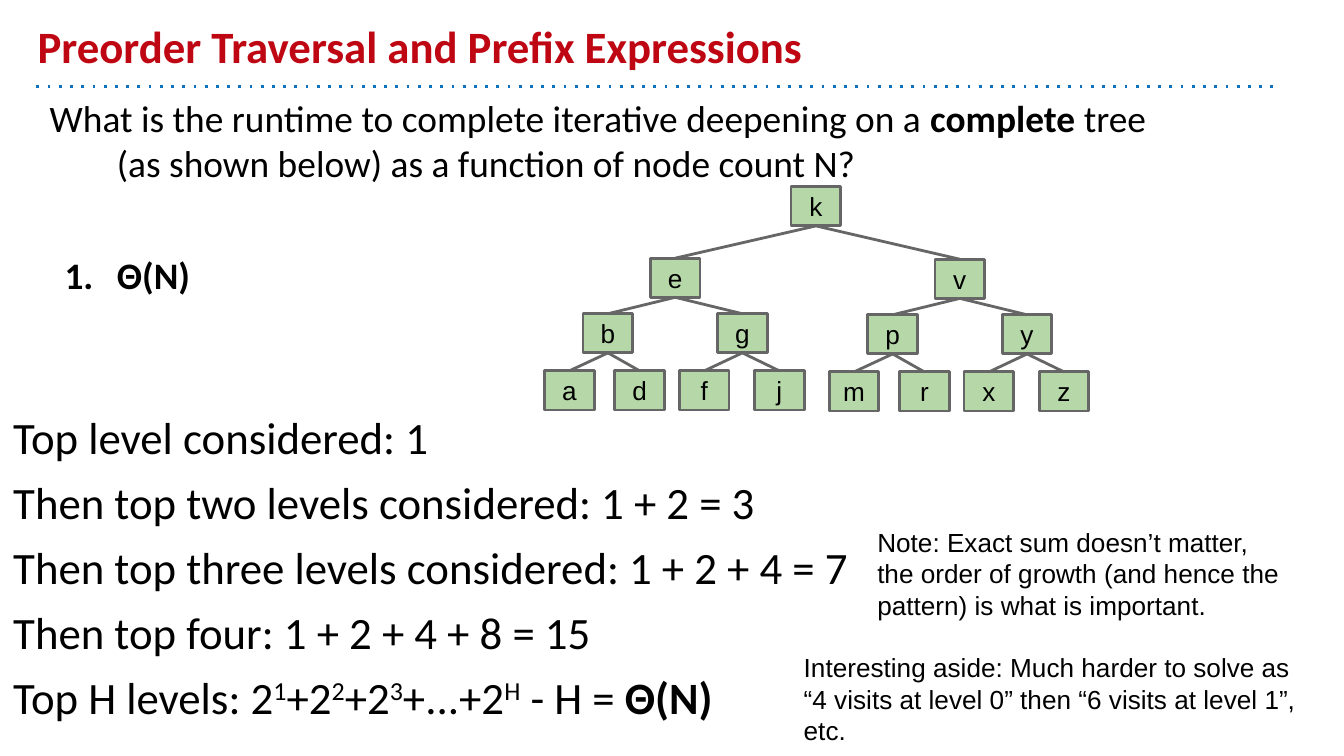
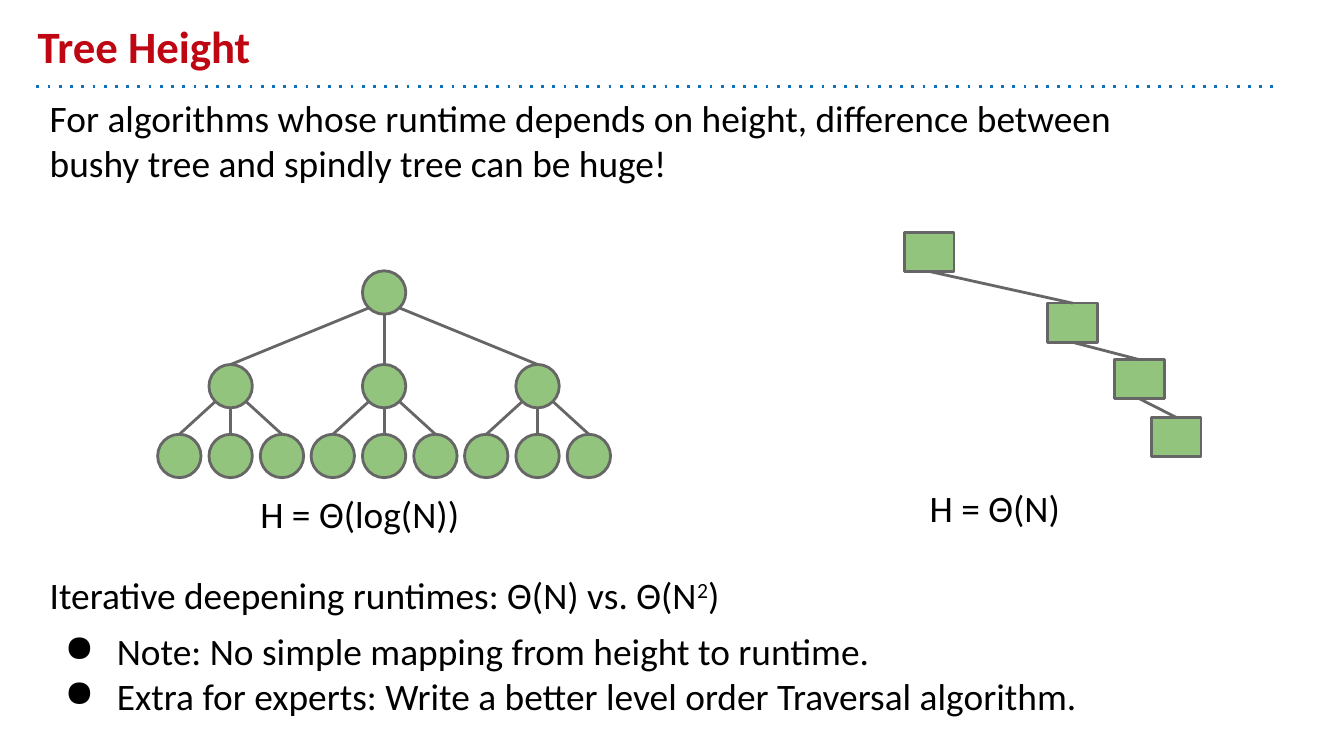
from lxml import etree
from pptx import Presentation
from pptx import util as u
from pptx.dml.color import RGBColor
from pptx.enum import dml, shapes, text
from pptx.oxml.ns import qn

COLORS = {
    "title": "BE0712",
    "rule": "1072BD",
    "text": "000000",
    "edge": "666666",
    "search_node": "B6D7A8",
    "plain_node": "93C47D",
}
BODY_FONT, NOTE_FONT = "Calibri", "Arial"
BOX_W, BOX_H = 0.94, 0.74
CIRCLE = 0.82


def rgb(name):
    return RGBColor.from_string(COLORS[name])


def style_font(font, size, name, color="text", bold=False):
    font.size, font.name, font.bold = u.Pt(size), name, bold
    font.color.rgb = rgb(color)


def add_bullet(p, bullet):
    """Give p a hanging indent and a bullet; "1." counts automatically."""
    pPr = p._p.get_or_add_pPr()
    pPr.set("marL", str(u.Cm(1.27)))
    pPr.set("indent", str(-u.Cm(0.99)))
    color = etree.SubElement(pPr, qn("a:buClr"))
    etree.SubElement(color, qn("a:srgbClr"), val=COLORS["text"])
    if bullet == "1.":
        etree.SubElement(pPr, qn("a:buAutoNum"), type="arabicPeriod")
    else:
        etree.SubElement(pPr, qn("a:buChar"), char=bullet)


def fill_paragraph(p, content, size, font, color="text"):
    """Write content: a string, or a list of strings and (string, "bold" | "sup") pairs.

    A "\\v" item in the list breaks the line.
    """
    for piece in [content] if isinstance(content, str) else content:
        if piece == "\v":
            p.add_line_break()
            continue
        words, look = (piece, "") if isinstance(piece, str) else piece
        r = p.add_run()
        r.text = words
        style_font(r.font, size, font, color, look == "bold")
        if look == "sup":
            r.font._element.set("baseline", "30000")


def add_text(s, box, paragraphs, size=20, font=BODY_FONT, color="text",
             anchor=text.MSO_ANCHOR.TOP):
    """Add a text box; each paragraph is (content, space before, bullet)."""
    tf = s.shapes.add_textbox(*map(u.Cm, box)).text_frame
    tf.word_wrap = True
    tf.vertical_anchor = anchor
    tf.margin_left = tf.margin_right = tf.margin_top = tf.margin_bottom = u.Cm(0.25)
    for i, (content, before, bullet) in enumerate(paragraphs):
        p = tf.add_paragraph() if i else tf.paragraphs[0]
        p.space_before = u.Pt(before)
        if bullet:
            add_bullet(p, bullet)
        fill_paragraph(p, content, size, font, color)
    return tf


def add_line(s, start, end, color="edge"):
    line = s.shapes.add_connector(shapes.MSO_CONNECTOR.STRAIGHT,
                                  *map(u.Cm, (*start, *end)))
    line.line.color.rgb = rgb(color)
    line.line.width = u.Pt(1.5)
    etree.SubElement(line._element.spPr, qn("a:effectLst"))
    return line


def add_node(s, kind, cx, top, w, h, color, label=""):
    sp = s.shapes.add_shape(kind, u.Cm(cx - w / 2), u.Cm(top), u.Cm(w), u.Cm(h))
    sp.shadow.inherit = False
    sp.fill.solid()
    sp.fill.fore_color.rgb = rgb(color)
    sp.line.color.rgb = rgb("edge")
    sp.line.width = u.Pt(1.5)
    if label:
        tf = sp.text_frame
        tf.text = label
        tf.vertical_anchor = text.MSO_ANCHOR.MIDDLE
        p = tf.paragraphs[0]
        p.alignment = text.PP_ALIGN.CENTER
        style_font(p.runs[0].font, 14, NOTE_FONT)
    return sp


def add_box(s, cx, top, color, label=""):
    return add_node(s, shapes.MSO_SHAPE.RECTANGLE, cx, top, BOX_W, BOX_H, color, label)


def join_boxes(s, parent, child):
    line = add_line(s, (0, 0), (1, 1))
    line.begin_connect(parent, 2)
    line.end_connect(child, 0)


def add_subtree(s, letters, cx, top):
    """Draw a seven-node binary tree, letters in level order; return its root."""
    offsets = (0, -1.27, 1.27, -2, -0.67, 0.55, 1.97)
    drops = (0, 1.05, 1.05, 2.13, 2.13, 2.13, 2.13)
    nodes = [add_box(s, cx + dx, top + dy, "search_node", letter)
             for letter, dx, dy in zip(letters, offsets, drops)]
    for i, node in enumerate(nodes[1:]):
        join_boxes(s, nodes[i // 2], node)
    return nodes[0]


def add_search_tree(s):
    subtrees = [add_subtree(s, "ebgadfj", 12.76, 4.88),
                add_subtree(s, "vpymrxz", 18.14, 4.9)]
    root = add_box(s, 15.42, 3.53, "search_node", "k")
    for subtree in subtrees:
        join_boxes(s, root, subtree)


def add_bushy_tree(s, cx, levels, gaps):
    """Draw a three-way tree of circles below cx; return its root."""
    top = levels[0]
    root = add_node(s, shapes.MSO_SHAPE.OVAL, cx, top, CIRCLE, CIRCLE, "plain_node")
    if gaps:
        radius = CIRCLE / 2
        for side in (-1, 0, 1):
            child = add_bushy_tree(s, cx + side * gaps[0], levels[1:], gaps[1:])
            reach = 0.71 * radius
            start_y = top + radius + (reach if side else radius)
            line = add_line(s, (cx + side * reach, start_y), (cx, levels[1]))
            line.end_connect(child, 0)
    return root


def add_spindly_tree(s):
    places = ((17.56, 4.39), (20.27, 5.73), (21.54, 6.8), (22.23, 7.89))
    boxes = [add_box(s, cx, top, "plain_node") for cx, top in places]
    for parent, child in zip(boxes, boxes[1:]):
        join_boxes(s, parent, child)


def add_titled_slide(prs, title):
    s = prs.slides.add_slide(prs.slide_layouts[6])
    rule = add_line(s, (0.69, 1.63), (24.13, 1.63), "rule")
    rule.line.dash_style = dml.MSO_LINE.ROUND_DOT
    for dash in rule._element.iter(qn("a:prstDash")):
        dash.set("val", "dot")
    add_text(s, (0.46, 0.25, 22.86, 1.37), [([(title, "bold")], 0, "")], 24,
             color="title", anchor=text.MSO_ANCHOR.BOTTOM)
    return s


def build_runtime_slide(prs):
    s = add_titled_slide(prs, "Preorder Traversal and Prefix Expressions")
    tf = add_text(s, (0.69, 1.55, 23.44, 11.53), [
        (["What is the runtime to complete iterative deepening on a ",
          ("complete", "bold"), " tree", "\v",
          "(as shown below) as a function of node count N?"], 0, ""),
        ([("Θ(N)", "bold")], 36, "1."),
    ])
    question = tf.paragraphs[0]._p.get_or_add_pPr()
    question.set("marL", str(u.Cm(1.27)))
    question.set("indent", str(-u.Cm(1.27)))
    add_search_tree(s)

    steps = [
        "Top level considered: 1",
        "Then top two levels considered: 1 + 2 = 3",
        "Then top three levels considered: 1 + 2 + 4 = 7",
        "Then top four: 1 + 2 + 4 + 8 = 15",
        ["Top H levels: 2", ("1", "sup"), "+2", ("2", "sup"), "+2", ("3", "sup"),
         "+...+2", ("H", "sup"), " - H = ", ("Θ(N)", "bold")],
    ]
    add_text(s, (0, 7.49, 25.4, 6.71),
             [(step, 6 if i else 0, "") for i, step in enumerate(steps)], 24)
    for box, remark in (
        ((16.33, 9.7, 8.23, 3.38),
         "Note: Exact sum doesn’t matter, the order of growth (and hence the pattern) "
         "is what is important."),
        ((14.94, 12.07, 10.26, 1.93),
         "Interesting aside: Much harder to solve as “4 visits at level 0” then "
         "“6 visits at level 1”, etc."),
    ):
        add_text(s, box, [(remark, 0, "")], 14, NOTE_FONT)


def build_height_slide(prs):
    s = add_titled_slide(prs, "Tree Height")
    add_text(s, (0.69, 1.55, 23.44, 2.44), [
        (["For algorithms whose runtime depends on height, difference between", "\v",
          "bushy tree and spindly tree can be huge!"], 0, "")])
    add_spindly_tree(s)
    add_text(s, (17.32, 8.92, 3.61, 1.88), [("H = Θ(N)", 0, "")])
    add_bushy_tree(s, 7.26, (5.12, 6.89, 8.21), (2.9, 0.97))
    add_text(s, (4.67, 9.04, 5.11, 1.88), [("H = Θ(log(N))", 0, "")])
    add_text(s, (0.69, 10.57, 23.44, 1.88), [
        (["Iterative deepening runtimes: Θ(N) vs. Θ(N", ("2", "sup"), ")"], 0, ""),
        ("Note: No simple mapping from height to runtime.", 6, "●"),
        ("Extra for experts: Write a better level order Traversal algorithm.", 0, "●"),
    ])


def main():
    prs = Presentation()
    prs.slide_width, prs.slide_height = u.Cm(25.4), u.Cm(14.29)
    build_runtime_slide(prs)
    build_height_slide(prs)
    prs.save("out.pptx")


if __name__ == "__main__":
    main()
